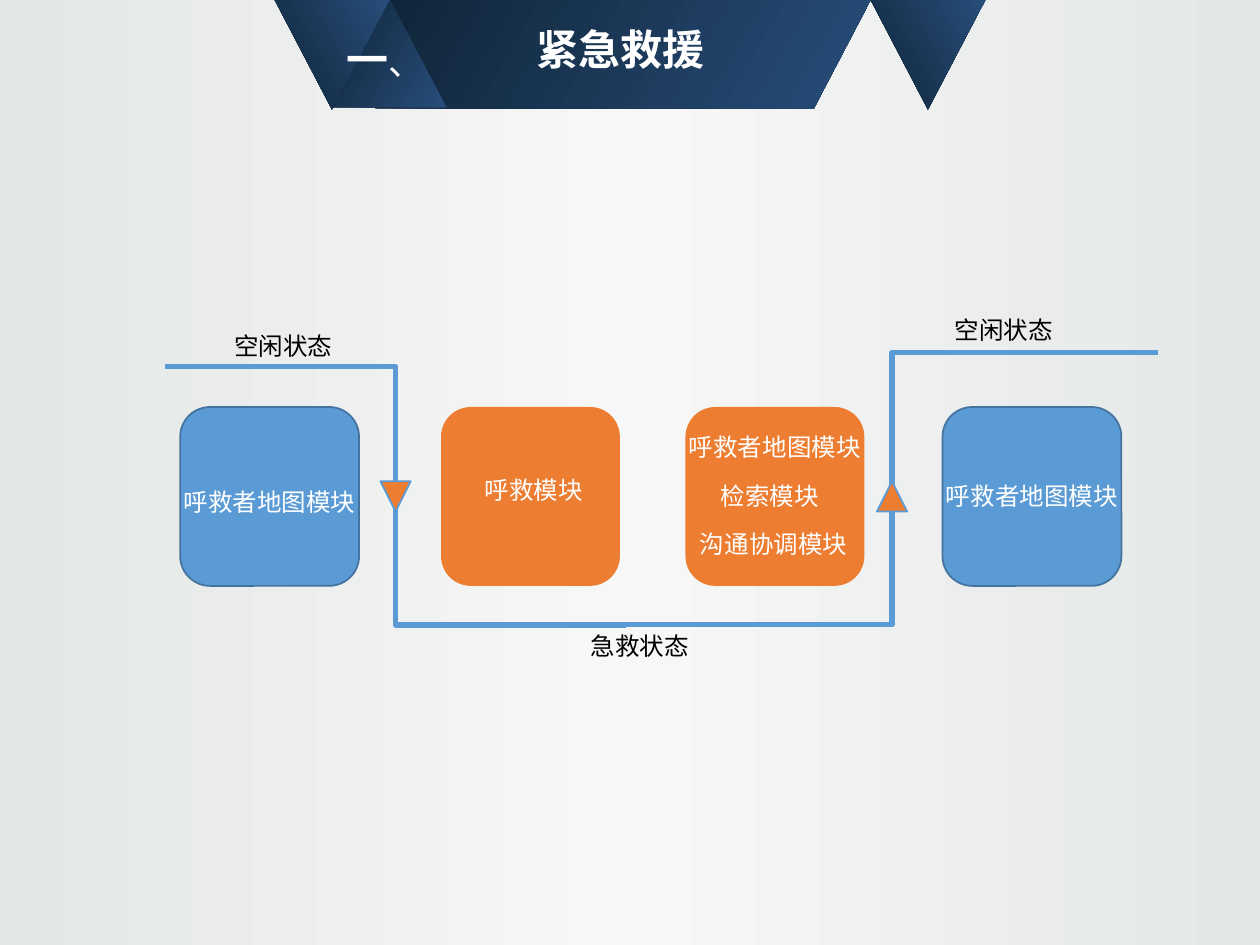
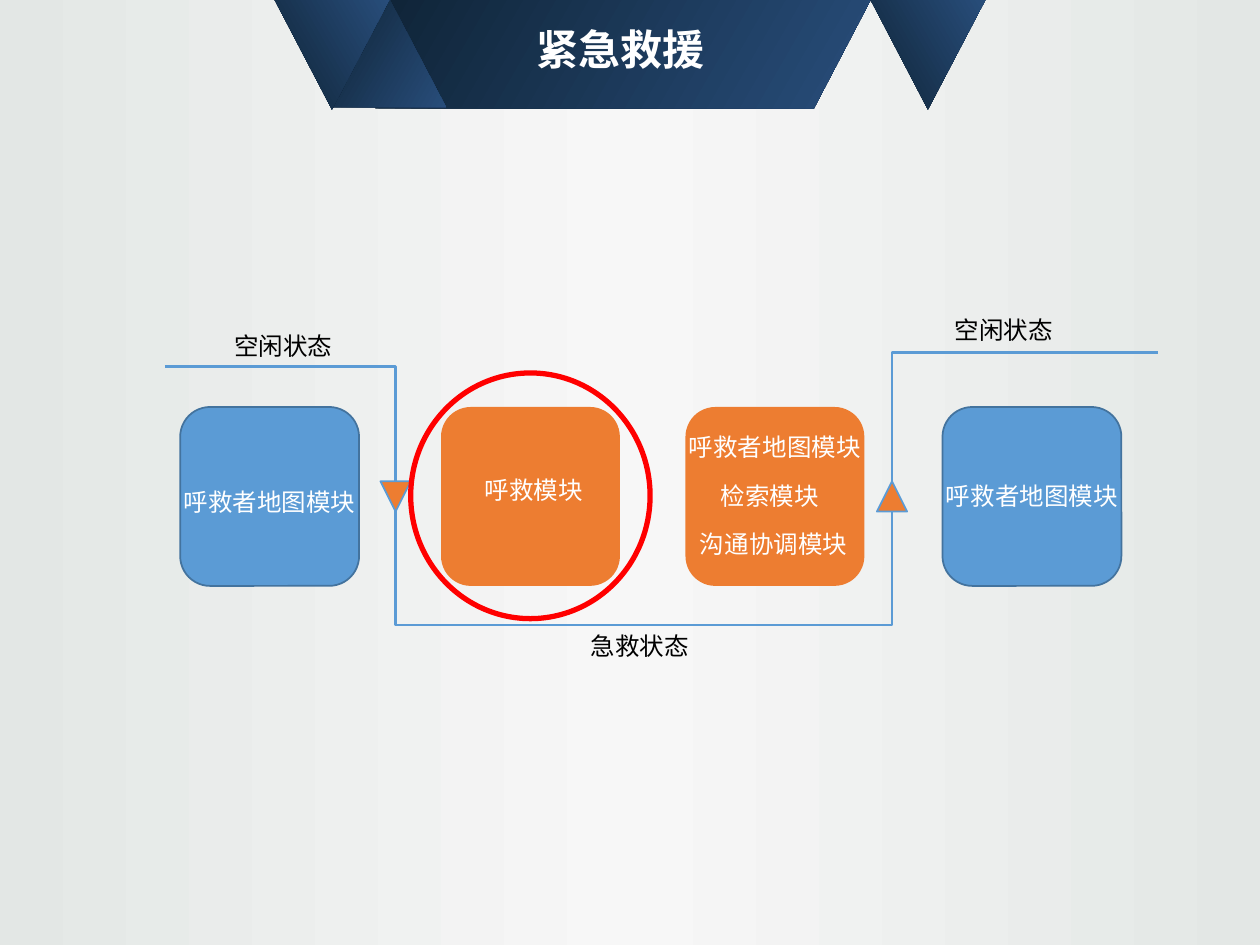
from dataclasses import dataclass
from lxml import etree
from pptx import Presentation, util as u
from pptx.dml.color import RGBColor
from pptx.enum import shapes, text
from pptx.oxml.ns import qn


@dataclass(frozen=True)
class Theme:
    font: str = "Arial"
    white: str = "FFFFFF"
    black: str = "000000"
    blue: str = "5B9BD5"
    blue_edge: str = "43739E"
    orange: str = "ED7D31"
    red: str = "FF0000"
    banner: tuple = ("0F2437", "284D7A")
    backdrop: tuple = ("E3E7E5", "F7F7F7", "E3E7E5")
    title_size: int = 24
    mark_size: int = 20
    body_size: int = 14


T = Theme()
SHAPE = shapes.MSO_SHAPE
CENTER, LEFT = text.PP_ALIGN.CENTER, text.PP_ALIGN.LEFT

# Grid of 100 columns by 75 rows with square cells
WIDTH, HEIGHT = u.Inches(10), u.Inches(7.5)
COLS, ROWS = 100, 75
MODULE = 14.2                           # side of a module box
MODULE_TOP = 32.3
MODULE_LEFT = (14.3, 35, 54.4, 74.8)
ARROW = 2.4                             # side of a direction marker
LOW_LINE, TURN = 49.6, 49.7             # where the two elbow lines meet


def col(n):
    return round(WIDTH * n / COLS)


def row(n):
    return round(HEIGHT * n / ROWS)


def cells(x, y, w, h):
    return col(x), row(y), col(w), row(h)


def gradient(fill, owner, colours, angle):
    """Spread the colours evenly; the angle runs anticlockwise."""
    fill.gradient()
    fill.gradient_angle = angle
    stops = owner.find(".//" + qn("a:gsLst"))
    stops[:] = []
    for i, colour in enumerate(colours):
        stop = etree.SubElement(stops, qn("a:gs"), pos=str(100000 * i // (len(colours) - 1)))
        etree.SubElement(stop, qn("a:srgbClr"), val=colour)


def outline(line, colour, width):
    line.color.rgb = RGBColor.from_string(colour)
    line.width = u.Pt(width)


def add_shape(s, kind, box, fill=None, edge=None, width=1):
    sp = s.shapes.add_shape(kind, *cells(*box))
    sp.shadow.inherit = False
    if fill:
        sp.fill.solid()
        sp.fill.fore_color.rgb = RGBColor.from_string(fill)
    else:
        sp.fill.background()
    if edge:
        outline(sp.line, edge, width)
    else:
        sp.line.fill.background()
    return sp


def style(r, size, colour, bold=False):
    r.font.name, r.font.size, r.font.bold = T.font, u.Pt(size), bold
    r.font.color.rgb = RGBColor.from_string(colour)


def add_text(s, words, box, colour=T.white, align=CENTER, size=T.body_size, bold=False):
    tf = s.shapes.add_textbox(*cells(*box)).text_frame
    tf.word_wrap = True
    tf.text = words
    p = tf.paragraphs[0]
    p.alignment = align
    style(p.runs[0], size, colour, bold)
    return tf


def add_elbow(s, start, end, width):
    line = s.shapes.add_connector(shapes.MSO_CONNECTOR.ELBOW,
                                  col(start[0]), row(start[1]), col(end[0]), row(end[1]))
    outline(line.line, T.blue, width)
    etree.SubElement(line._element.spPr, qn("a:effectLst"))


def add_banner(s, title):
    # Central trapezoid, then the folded triangles
    outline_points = [(69.1, 0), (64.6, 8.6), (29.8, 8.6)]
    builder = s.shapes.build_freeform(col(29.8), 0)
    builder.add_line_segments([(col(x), row(y)) for x, y in outline_points], close=True)
    parts = [builder.convert_to_shape()]
    for x, y, flipped in ((26.3, -0.2, False), (21.8, 0, True), (69.1, 0, True)):
        sp = add_shape(s, SHAPE.ISOSCELES_TRIANGLE, (x, y, 9.1, 8.7))
        if flipped:
            sp._element.spPr.find(qn("a:xfrm")).set("flipV", "1")
        parts.append(sp)
    for sp in parts:
        sp.shadow.inherit = False
        sp.line.fill.background()
        gradient(sp.fill, sp._element, T.banner, 330)
    tf = add_text(s, title, (36, 0.7, 26.5, 6.8), size=T.title_size, bold=True)
    tf.vertical_anchor = text.MSO_ANCHOR.MIDDLE
    tf.paragraphs[0].line_spacing = 0.9


def add_section_mark(s):
    tf = add_text(s, "一", (26.5, 2.2, 6.1, 5), align=LEFT, size=T.title_size, bold=True)
    r = tf.paragraphs[0].add_run()
    r.text = "、"
    style(r, T.mark_size, T.white)


def add_flow(s, line_width):
    # Module boxes: idle state outside, rescue state inside
    for i, x in enumerate(MODULE_LEFT):
        fill, edge = (T.orange, None) if i in (1, 2) else (T.blue, T.blue_edge)
        add_shape(s, SHAPE.ROUNDED_RECTANGLE, (x, MODULE_TOP, MODULE, MODULE), fill, edge)

    # State line with its direction markers
    add_elbow(s, (13.1, 29.1), (TURN, LOW_LINE), line_width)
    add_elbow(s, (TURN, LOW_LINE), (91.9, 28), line_width)
    for x, turn in ((30.2, 180), (69.6, 0)):
        marker = add_shape(s, SHAPE.ISOSCELES_TRIANGLE, (x, 38.2, ARROW, ARROW), T.orange, T.blue)
        marker.rotation = turn

    # State names
    for words, x, y in (("空闲状态", 17.6, 25.8), ("急救状态", 45.9, LOW_LINE),
                        ("空闲状态", 74.8, 24.5)):
        add_text(s, words, (x, y, 12.8, 3.4), T.black, LEFT)

    # Module names
    for words, x, y, w, align in (("呼救者地图模块", 11.5, 38.2, 19.8, CENTER),
                                  ("呼救模块", 37.5, 37.2, 19.5, LEFT),
                                  ("呼救者地图模块", 51.6, 33.8, 19.8, CENTER),
                                  ("检索模块", 56.2, 37.7, 16.6, LEFT),
                                  ("沟通协调模块", 48.3, 41.5, 26.2, CENTER),
                                  ("呼救者地图模块", 72, 37.7, 19.8, CENTER)):
        add_text(s, words, (x, y, w, 3.4), align=align)


def add_slide(prs, line_width):
    s = prs.slides.add_slide(prs.slide_layouts[6])
    gradient(s.background.fill, s._element, T.backdrop, 180)
    add_banner(s, "紧急救援")
    add_flow(s, line_width)
    return s


def main():
    prs = Presentation()
    prs.slide_width, prs.slide_height = WIDTH, HEIGHT

    # Overview of the states
    s = add_slide(prs, 3)
    add_section_mark(s)

    # Focus on the call module
    s = add_slide(prs, 1.5)
    add_shape(s, SHAPE.OVAL, (32.6, 29.6, 19, 19.5), edge=T.red, width=3)

    prs.save("out.pptx")


if __name__ == "__main__":
    main()
